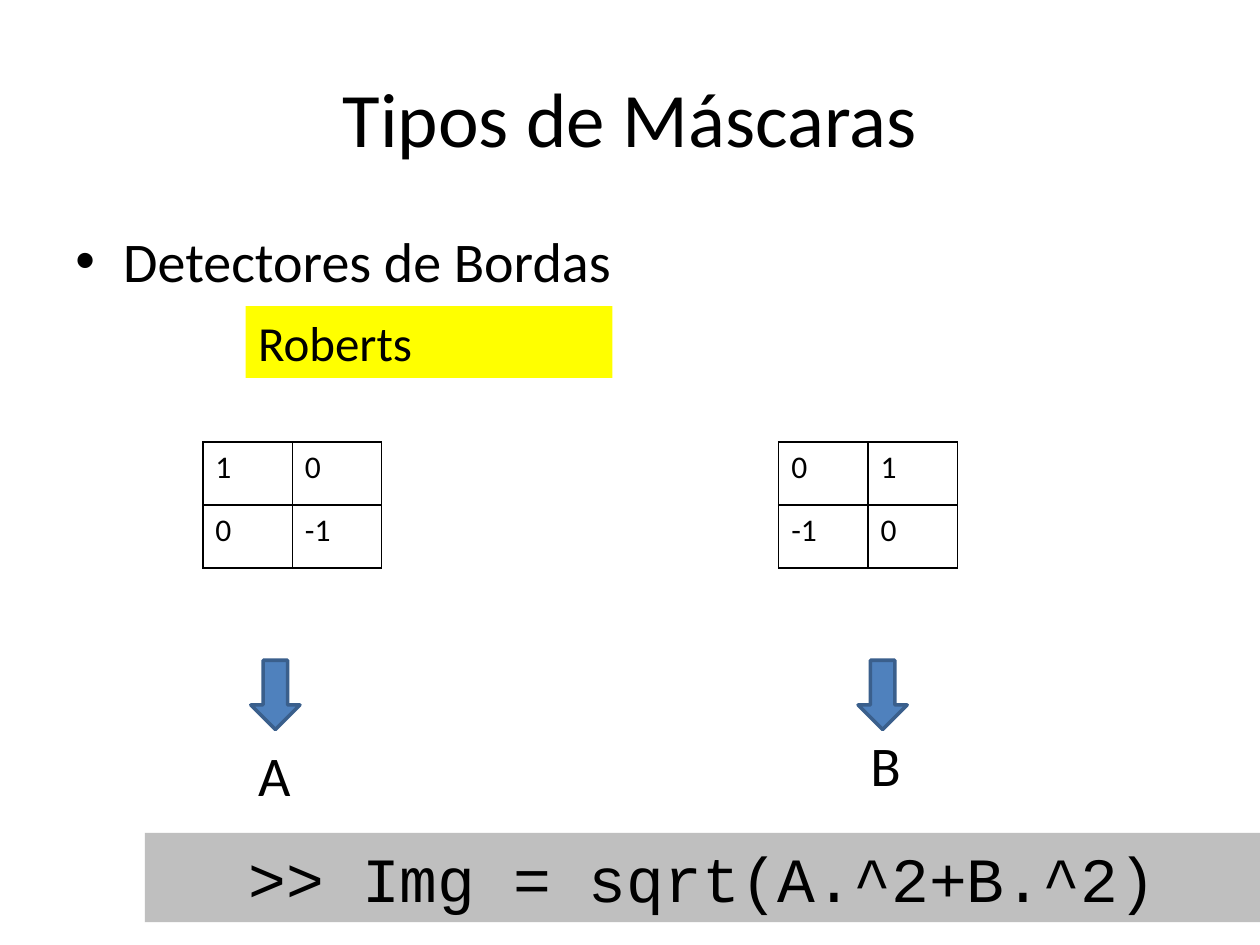
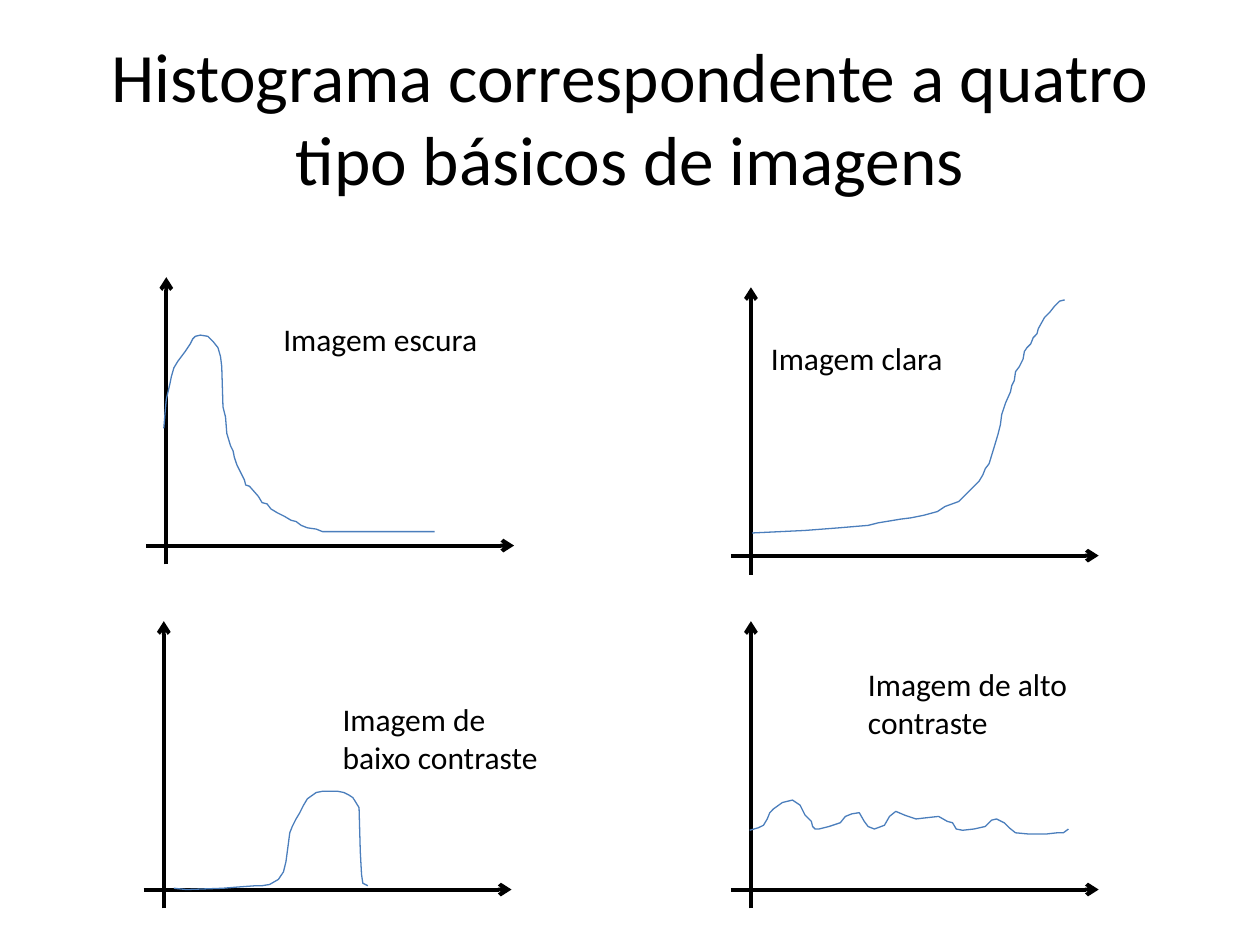
from dataclasses import dataclass
from lxml import etree
from pptx import Presentation, util as u
from pptx.dml.color import RGBColor
from pptx.enum import shapes, text
from pptx.oxml import ns


@dataclass(frozen=True)
class Theme:
    ink: str = "000000"
    highlight: str = "FFFF00"
    code_band: str = "BFBFBF"
    arrow: str = "4F81BD"
    arrow_edge: str = "3A5F8C"
    curve: str = "4B7EBC"
    font: str = "Calibri"
    code_font: str = "Courier New"
    title: float = 44
    long_title: float = 39.6
    code: float = 36
    body: float = 32
    tag: float = 28
    note: float = 18


def child(parent, tag, **attrs):
    return etree.SubElement(parent, ns.qn(tag), attrs)


def box(*lengths):
    return [u.Inches(length) for length in lengths]


class Deck:
    def __init__(self, theme):
        self.theme = theme
        self.prs = Presentation()
        self.prs.slide_width = u.Inches(10)
        self.prs.slide_height = u.Inches(7.5)
        self.s = None

    def slide(self, title, size):
        self.s = self.prs.slides.add_slide(self.prs.slide_layouts[5])
        sp = self.s.shapes.title
        for name, value in zip(("left", "top", "width", "height"), box(0.5, 0.3, 9, 1.25)):
            setattr(sp, name, value)
        self.put_text(sp.text_frame, title, size, align=text.PP_ALIGN.CENTER,
                      anchor=text.MSO_ANCHOR.MIDDLE)

    def put_text(self, tf, words, size, font=None, align=text.PP_ALIGN.LEFT,
                 anchor=text.MSO_ANCHOR.TOP):
        frame = {"word_wrap": True, "auto_size": text.MSO_AUTO_SIZE.NONE,
                 "vertical_anchor": anchor}
        for name, value in frame.items():
            setattr(tf, name, value)
        p = tf.paragraphs[0]
        p.alignment = align
        r = p.add_run()
        r.text = words
        self.style(r.font, size, font)
        return p

    def style(self, target, size, font=None):
        values = {"size": u.Pt(size), "name": font or self.theme.font, "bold": False}
        for name, value in values.items():
            setattr(target, name, value)
        target.color.rgb = RGBColor.from_string(self.theme.ink)

    def label(self, words, place, size):
        sp = self.s.shapes.add_textbox(*box(*place))
        return self.put_text(sp.text_frame, words, size)

    def bullet(self, words, place, size):
        p = self.label(words, place, size)
        p.space_before = u.Pt(size * 0.2)
        pPr = p._p.get_or_add_pPr()
        indent = u.Inches(0.38)
        pPr.set("marL", str(indent))
        pPr.set("indent", str(-indent))
        child(pPr, "a:buFont", typeface="Arial")
        child(pPr, "a:buChar", char="•")

    def shape(self, kind, place, fill, edge=None):
        sp = self.s.shapes.add_shape(kind, *box(*place))
        sp.shadow.inherit = False
        sp.fill.solid()
        sp.fill.fore_color.rgb = RGBColor.from_string(fill)
        if edge:
            self.stroke(sp.line, edge, 2)
        else:
            sp.line.fill.background()
        return sp

    def band(self, words, place, fill, size, **style):
        sp = self.shape(shapes.MSO_SHAPE.RECTANGLE, place, fill)
        self.put_text(sp.text_frame, words, size, **style)

    def stroke(self, line, color, width):
        line.color.rgb = RGBColor.from_string(color)
        line.width = u.Pt(width)

    def arrow(self, start, end):
        line = self.s.shapes.add_connector(shapes.MSO_CONNECTOR.STRAIGHT, *box(*start, *end))
        self.stroke(line.line, self.theme.ink, 2.25)
        child(line.line._get_or_add_ln(), "a:tailEnd", type="arrow")
        child(line._element.spPr, "a:effectLst")

    def axes(self, x, y):
        self.arrow((x, y + 0.15), (x, y - 2.13))
        self.arrow((x - 0.16, y), (x + 2.76, y))

    def curve(self, points):
        builder = self.s.shapes.build_freeform(*points[0], scale=u.Inches(0.01))
        builder.add_line_segments(points[1:], close=False)
        sp = builder.convert_to_shape()
        sp.shadow.inherit = False
        sp.fill.background()
        self.stroke(sp.line, self.theme.curve, 0.75)

    def mask(self, rows, left, top):
        size = len(rows)
        frame = self.s.shapes.add_table(size, size, *box(left, top, 0.71 * size, 0.5 * size))
        table = frame.table
        table.first_row = table.horz_banding = False
        for i, row in enumerate(rows):
            for j, value in enumerate(row):
                cell = table.cell(i, j)
                cell.text = str(value)
                self.style(cell.text_frame.paragraphs[0].runs[0].font, self.theme.note)
                tcPr = cell._tc.get_or_add_tcPr()
                for side in ("L", "R", "T", "B"):
                    ln = child(tcPr, f"a:ln{side}", w=str(u.Pt(1)))
                    child(child(ln, "a:solidFill"), "a:srgbClr", val=self.theme.ink)
                cell.fill.background()


DARK = [(130, 340), (131, 328), (132, 317), (135, 304), (136, 299), (138, 292), (141, 287),
        (144, 283), (147, 279), (151, 273), (153, 269), (155, 267), (159, 266), (165, 267),
        (169, 271), (173, 276), (175, 283), (176, 291), (177, 323), (179, 331), (180, 344),
        (183, 354), (185, 358), (186, 363), (188, 369), (194, 381), (195, 385), (198, 386),
        (205, 394), (208, 399), (212, 400), (215, 404), (220, 407), (226, 410), (231, 413),
        (235, 414), (239, 417), (244, 419), (251, 420), (256, 422), (345, 422)]
BRIGHT = [(597, 423), (639, 421), (665, 419), (689, 417), (697, 415), (715, 412), (723, 411),
          (733, 409), (744, 406), (750, 402), (761, 398), (773, 386), (777, 382), (780, 377),
          (782, 372), (785, 368), (789, 355), (792, 345), (794, 337), (795, 329), (798, 320),
          (802, 311), (803, 306), (805, 302), (806, 295), (809, 291), (812, 285), (813, 279),
          (815, 276), (818, 273), (820, 268), (823, 265), (824, 261), (829, 252), (833, 248),
          (837, 243), (841, 239), (845, 238)]
LOW_CONTRAST = [(138, 705), (148, 706), (177, 705), (189, 704), (203, 703), (208, 703),
                (214, 702), (221, 698), (225, 692), (227, 684), (229, 669), (230, 661),
                (232, 656), (235, 650), (238, 645), (241, 639), (244, 634), (251, 629),
                (256, 628), (268, 628), (273, 629), (277, 631), (280, 633), (282, 636),
                (285, 641), (286, 676), (287, 694), (288, 701), (292, 703)]
HIGH_CONTRAST = [(595, 659), (602, 657), (606, 655), (609, 650), (611, 645), (614, 642),
                 (621, 637), (629, 635), (635, 639), (639, 647), (644, 652), (645, 656),
                 (647, 658), (650, 658), (658, 656), (667, 653), (671, 648), (676, 646),
                 (682, 645), (686, 652), (689, 656), (694, 658), (702, 655), (706, 648),
                 (711, 644), (718, 647), (727, 650), (736, 649), (745, 648), (752, 652),
                 (756, 653), (759, 658), (764, 659), (773, 658), (782, 656), (787, 651),
                 (791, 650), (797, 653), (801, 657), (806, 661), (817, 662), (830, 662),
                 (839, 661), (844, 661), (848, 658)]


def masks_slide(deck):
    t = deck.theme
    deck.slide("Tipos de Máscaras", t.title)
    deck.bullet("Detectores de Bordas", (0.5, 1.75, 9, 4.95), t.body)
    deck.mask([[1, 0], [0, -1]], 1.61, 3.51)
    deck.mask([[0, 1], [-1, 0]], 6.18, 3.51)
    deck.band("Roberts", (1.95, 2.43, 2.91, 0.57), t.highlight, t.tag)
    for x in (1.99, 6.81):
        deck.shape(shapes.MSO_SHAPE.DOWN_ARROW, (x, 5.24, 0.39, 0.55), t.arrow, t.arrow_edge)
    for name, x, y in (("A", 1.95, 5.83), ("B", 6.81, 5.75)):
        deck.label(name, (x, y, 1.26, 0.64), t.body)
    deck.band(">> Img = sqrt(A.^2+B.^2)", (1.15, 6.61, 8.85, 0.71), t.code_band, t.code,
              font=t.code_font, align=text.PP_ALIGN.CENTER)


def histograms_slide(deck):
    t = deck.theme
    deck.slide("Histograma correspondente a quatro tipo básicos de imagens", t.long_title)
    histograms = [
        ("Imagem escura", (1.32, 4.33), (2.15, 2.49, 1.91, 0.4), DARK),
        ("Imagem clara", (5.96, 4.41), (6.02, 2.64, 1.91, 0.4), BRIGHT),
        ("Imagem de baixo contraste", (1.3, 7.06), (2.62, 5.51, 1.91, 0.71), LOW_CONTRAST),
        ("Imagem de alto contraste", (5.96, 7.06), (6.79, 5.23, 1.91, 0.71), HIGH_CONTRAST),
    ]
    for name, origin, place, points in histograms:
        deck.axes(*origin)
        deck.curve(points)
        deck.label(name, place, t.note)


def main():
    deck = Deck(Theme())
    masks_slide(deck)
    histograms_slide(deck)
    deck.prs.save("out.pptx")


if __name__ == "__main__":
    main()
